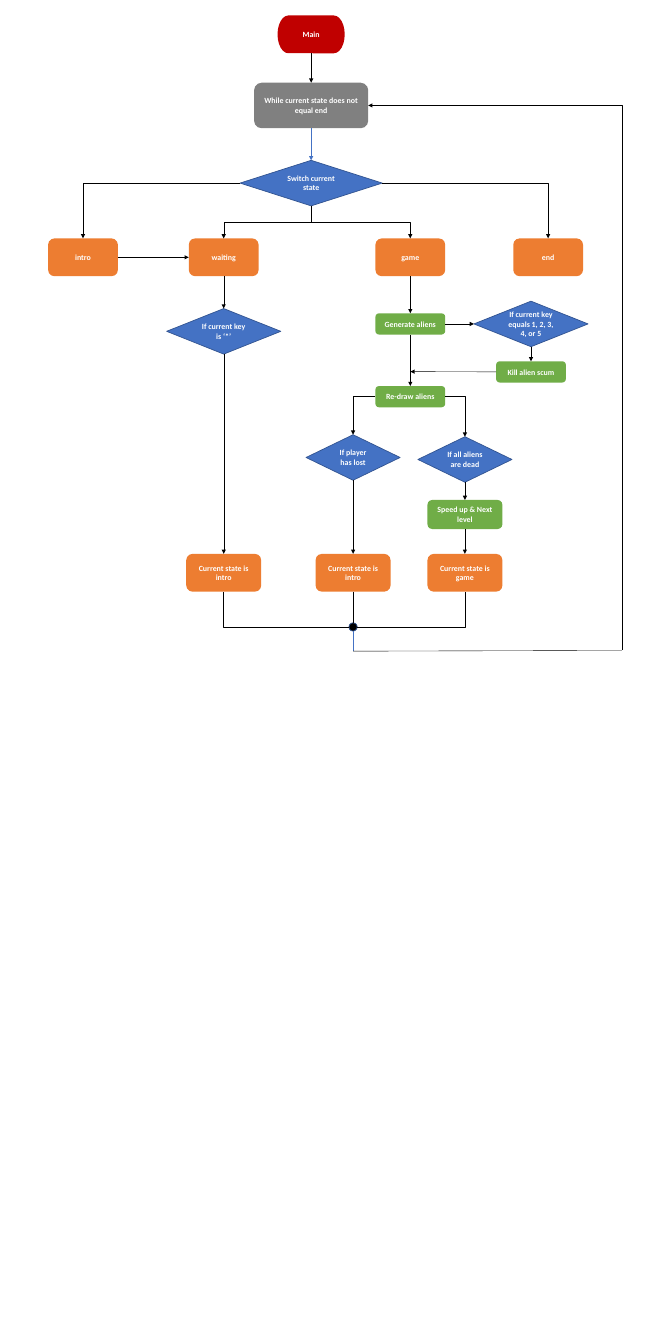
from pptx import Presentation
from pptx.util import Pt
from pptx.dml.color import RGBColor as Rgb
from pptx.enum.shapes import MSO_SHAPE as Form, MSO_CONNECTOR as Wire
from pptx.enum.text import PP_ALIGN as Align, MSO_ANCHOR as Anchor
from pptx.oxml.ns import qn
from lxml.etree import SubElement as Sub

THEME = {
    "font": "Calibri", "size": 11, "text": "FFFFFF", "edge": "325491",
    "line": "000000", "thin": 0.5, "rim": 1,
    "red": "C00000", "gray": "808080", "blue": "4472C4",
    "orange": "ED7D31", "green": "70AD47", "black": "000000",
}

KINDS = {
    "start": (Form.FLOWCHART_TERMINATOR, 93.6, 52.6, "red"),
    "loop": (Form.ROUNDED_RECTANGLE, 159, 63.4, "gray"),
    "switch": (Form.FLOWCHART_DECISION, 198, 63.4, "blue"),
    "key": (Form.FLOWCHART_DECISION, 159, 63.4, "blue"),
    "test": (Form.FLOWCHART_DECISION, 131, 63.4, "blue"),
    "state": (Form.ROUNDED_RECTANGLE, 97.2, 52.6, "orange"),
    "set": (Form.ROUNDED_RECTANGLE, 104.4, 52.6, "orange"),
    "task": (Form.ROUNDED_RECTANGLE, 97.2, 29.5, "green"),
    "level": (Form.ROUNDED_RECTANGLE, 104.4, 40.5, "green"),
    "dot": (Form.OVAL, 11.5, 11.5, "black"),
}
RIMMED = ("switch", "key", "test", "dot")

COLS = {"intro": 115.6, "wait": 311.6, "main": 433.4, "lost": 491.8,
        "game": 571.5, "dead": 647.6, "alien": 739.6, "end": 763.5}
ROWS = {"main": 47.9, "loop": 146.9, "switch": 255, "state": 358.4,
        "make": 451.2, "star": 461.5, "kill": 518, "draw": 552.5,
        "lost": 637.2, "dead": 640, "level": 716.6, "set": 797.8, "dot": 873.3}

NODES = [
    ("main", "start", "main", "main", "Main"),
    ("loop", "loop", "main", "loop", "While current state does not equal end"),
    ("switch", "switch", "main", "switch", "Switch current state"),
    ("intro", "state", "intro", "state", "intro"),
    ("wait", "state", "wait", "state", "waiting"),
    ("game", "state", "game", "state", "game"),
    ("end", "state", "end", "state", "end"),
    ("star", "key", "wait", "star", "If current key is ‘*’"),
    ("make", "task", "game", "make", "Generate aliens"),
    ("alien", "key", "alien", "make", "If current key equals 1, 2, 3, 4, or 5"),
    ("kill", "task", "alien", "kill", "Kill alien scum"),
    ("draw", "task", "game", "draw", "Re-draw aliens"),
    ("lost", "test", "lost", "lost", "If player has lost"),
    ("dead", "test", "dead", "dead", "If all aliens are dead"),
    ("level", "level", "dead", "level", "Speed up & Next level"),
    ("set wait", "set", "wait", "set", "Current state is intro"),
    ("set lost", "set", "lost", "set", "Current state is intro"),
    ("set dead", "set", "dead", "set", "Current state is game"),
    ("dot", "dot", "lost", "dot", ""),
]

BASE = (COLS["lost"], 907)
TURN = (866.2, 906)
LINKS = [
    ("line", "main.b", "loop.t", "tail", "line"),
    ("line", "loop.b", "switch.t", "tail", "blue"),
    ("bend", "switch.l", "intro.t", "tail", "line"),
    ("fork", "switch.b", "wait.t", "tail", "line"),
    ("fork", "switch.b", "game.t", "tail", "line"),
    ("bend", "switch.r", "end.t", "tail", "line"),
    ("line", "intro.r", "wait.l", "tail", "line"),
    ("line", "wait.b", "star.t", "tail", "line"),
    ("line", "star.b", "set wait.t", "tail", "line"),
    ("line", "game.b", "make.t", "tail", "line"),
    ("line", "make.r", "alien.l", "tail", "line"),
    ("line", "alien.b", "kill.t", "tail", "line"),
    ("line", "kill.l", (COLS["game"], 517.6), "tail", "line"),
    ("line", "make.b", "draw.t", "tail", "line"),
    ("bend", "draw.l", "lost.t", "tail", "line"),
    ("bend", "draw.r", "dead.t", "tail", "line"),
    ("line", "lost.b", "set lost.t", "tail", "line"),
    ("line", "dead.b", "level.t", "tail", "line"),
    ("line", "level.b", "set dead.t", "tail", "line"),
    ("bend", "dot.l", "set wait.b", None, "line"),
    ("bend", "dot.r", "set dead.b", None, "line"),
    ("line", "set lost.b", "dot.t", None, "line"),
    ("line", "dot.b", BASE, None, "blue"),
    ("line", BASE, TURN, None, "line"),
    ("bend", "loop.r", TURN, "head", "line"),
]
SIDES = {"t": (0, 0, -0.5), "l": (1, -0.5, 0), "b": (2, 0, 0.5), "r": (3, 0.5, 0)}


def tint(name):
    return Rgb.from_string(THEME[name])


def add_node(slide, kind, x, y, text):
    form, wide, high, fill = KINDS[kind]
    node = slide.shapes.add_shape(
        form, Pt(x - wide / 2), Pt(y - high / 2), Pt(wide), Pt(high))
    node.shadow.inherit = False
    node.fill.solid()
    node.fill.fore_color.rgb = tint(fill)
    if kind in RIMMED:
        node.line.color.rgb = tint("edge")
        node.line.width = Pt(THEME["rim"])
    else:
        node.line.fill.background()
    if text:
        frame = node.text_frame
        frame.word_wrap = True
        frame.vertical_anchor = Anchor.MIDDLE
        para = frame.paragraphs[0]
        para.text = text
        para.alignment = Align.CENTER
        font = para.font
        font.name, font.size, font.bold = THEME["font"], Pt(THEME["size"]), True
        font.color.rgb = tint("text")
    return node


def find_end(end, nodes):
    if isinstance(end, tuple):
        return end, None
    name, side = end.split(".")
    kind, x, y, node = nodes[name]
    site, right, down = SIDES[side]
    point = x + right * KINDS[kind][1], y + down * KINDS[kind][2]
    return point, None if kind == "dot" else (node, site)


def add_link(slide, nodes, way, start, stop, arrow, color):
    (x1, y1), glue1 = find_end(start, nodes)
    (x2, y2), glue2 = find_end(stop, nodes)
    wire = slide.shapes.add_connector(
        Wire.STRAIGHT if way == "line" else Wire.ELBOW,
        Pt(x1), Pt(y1), Pt(x2), Pt(y2))
    if glue1:
        wire.begin_connect(*glue1)
    if glue2:
        wire.end_connect(*glue2)
    wire.line.color.rgb = tint(color)
    wire.line.width = Pt(THEME["thin"])
    props = wire.element.spPr
    if way == "bend":
        props.find(qn("a:prstGeom")).set("prst", "bentConnector2")
    if way == "fork":
        wide, high = abs(x2 - x1), abs(y2 - y1)
        frame = props.find(qn("a:xfrm"))
        frame.attrib.clear()
        wire.left, wire.top = Pt((x1 + x2 - high) / 2), Pt((y1 + y2 - wide) / 2)
        wire.width, wire.height = Pt(high), Pt(wide)
        frame.set("rot", "5400000" if x2 < x1 else "16200000")
        if x2 > x1:
            frame.set("flipH", "1")
    if arrow:
        Sub(props.find(qn("a:ln")), qn(f"a:{arrow}End"), type="triangle")
    Sub(props, qn("a:effectLst"))


deck = Presentation()
deck.slide_width, deck.slide_height = Pt(936), Pt(1872)
slide = deck.slides.add_slide(deck.slide_layouts[6])
nodes = {}
for name, kind, col, row, text in NODES:
    x, y = COLS[col], ROWS[row]
    nodes[name] = kind, x, y, add_node(slide, kind, x, y, text)
for link in LINKS:
    add_link(slide, nodes, *link)
deck.save("out.pptx")
